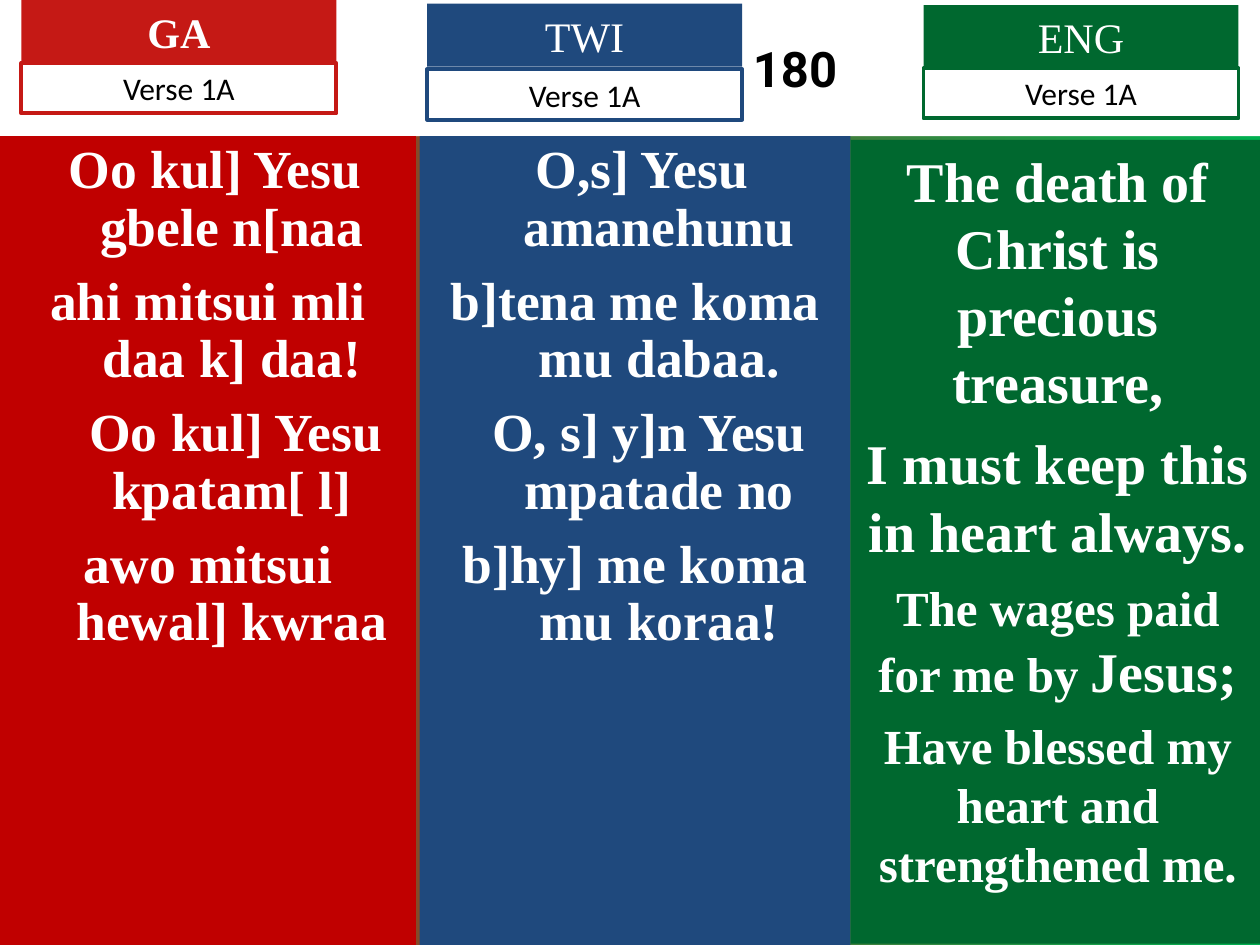
from pptx import Presentation
from pptx.dml.color import RGBColor
from pptx.enum.shapes import MSO_SHAPE
from pptx.enum.text import MSO_ANCHOR, MSO_AUTO_SIZE, PP_ALIGN
from pptx.oxml.xmlchemy import OxmlElement
from pptx.util import Inches, Pt

RECT = MSO_SHAPE.RECTANGLE
CENTER = PP_ALIGN.CENTER
TOP, MIDDLE = MSO_ANCHOR.TOP, MSO_ANCHOR.MIDDLE
NO_FIT = MSO_AUTO_SIZE.NONE

COLORS = {"red": "C00000", "label_red": "C51915", "blue": "1F497D",
          "green": "00682F", "edge_green": "00B050",
          "white": "FFFFFF", "black": "000000"}
SERIF, SANS, NUMBER = "Times New Roman", "Calibri", "Roboto"
HANG = 0.38      # hanging indent of the sung lines
NUDGE = 0.11     # one step of extra first-line indent
LABEL_W, LABEL_H, VERSE_H = 2.5, 0.5, 0.4


def rgb(name):
    return RGBColor.from_string(COLORS[name])


def place(s, box):
    s.left, s.top, s.width, s.height = (Inches(v) for v in box)


def fill(s, color):
    s.fill.solid()
    s.fill.fore_color.rgb = rgb(color)


def frame(s, anchor):
    tf = s.text_frame
    tf.word_wrap = True
    tf.auto_size = NO_FIT
    tf.vertical_anchor = anchor
    return tf


def add_run(p, text, size, font, color, bold=False):
    r = p.add_run()
    r.text = text
    r.font.size, r.font.name, r.font.bold = Pt(size), font, bold
    r.font.color.rgb = rgb(color)


def add_rect(slide, box):
    s = slide.shapes.add_shape(RECT, *(Inches(v) for v in box))
    s.shadow.inherit = False
    s.line.fill.background()
    return s


def hymn_number(s, box, text):
    """White title strip; the left inset moves the number off centre."""
    place(s, box)
    fill(s, "white")
    tf = frame(s, MIDDLE)
    tf.margin_left = Inches(box[2] * 0.272)
    p = tf.paragraphs[0]
    p.alignment = CENTER
    add_run(p, text, 28, NUMBER, "black", True)


def lyrics(s, box, color, lines):
    """Sung lines with a hanging indent, each as (text, nudge steps)."""
    place(s, box)
    fill(s, color)
    tf = frame(s, TOP)
    for i, (text, steps) in enumerate(lines):
        p = tf.paragraphs[0] if i == 0 else tf.add_paragraph()
        p.alignment, p.line_spacing = CENTER, 0.9
        p.space_before = Pt(9 if i else 0)
        pPr = p._p.get_or_add_pPr()
        pPr.set("marL", str(Inches(HANG)))
        pPr.set("indent", str(Inches(steps * NUDGE - HANG)))
        pPr.append(OxmlElement("a:buNone"))
        add_run(p, text, 30.6, SERIF, "white", True)


def translation(slide, box, color, lines):
    """English lines, each as (space before, runs of (text, size))."""
    s = add_rect(slide, box)
    fill(s, color)
    tf = frame(s, TOP)
    for i, (before, runs) in enumerate(lines):
        p = tf.paragraphs[0] if i == 0 else tf.add_paragraph()
        p.alignment, p.space_before = CENTER, Pt(before)
        for text, size in runs:
            add_run(p, text, size, SERIF, "white", True)


def language_label(slide, left, top, verse_top, color, name, bold):
    """Filled language name above an outlined verse number."""
    head = add_rect(slide, (left, top, LABEL_W, LABEL_H))
    fill(head, color)
    verse = add_rect(slide, (left, verse_top, LABEL_W, VERSE_H))
    verse.fill.background()
    verse.line.color.rgb = rgb(color)
    verse.line.width = Pt(2.25)
    for s, text, size, font, ink, weight in (
            (head, name, 24, SERIF, "white", bold),
            (verse, "Verse 1A", 18, SANS, "black", False)):
        p = frame(s, MIDDLE).paragraphs[0]
        p.alignment = CENTER
        add_run(p, text, size, font, ink, weight)


def main():
    prs = Presentation()
    prs.slide_width, prs.slide_height = Inches(10), Inches(7.5)
    slide = prs.slides.add_slide(prs.slide_layouts[3])  # title and two lists
    W, H = 10, 7.5
    head_h = 1.08
    body_h = H - head_h

    # Background, seen in the gaps between columns
    bg = slide.background.fill
    bg.gradient()
    bg.gradient_angle = 0
    for stop, color in zip(bg.gradient_stops, ("label_red", "edge_green")):
        stop.color.rgb = rgb(color)

    # Header strip and the three columns
    title, ga, twi = slide.placeholders
    hymn_number(title, (0, 0, W, head_h), "180")
    lyrics(ga, (0, head_h, 0.33 * W, body_h), "red", [
        ("Oo kul] Yesu gbele n[naa", 1),
        ("ahi mitsui mli daa k] daa!", 0),
        ("Oo kul] Yesu kpatam[ l]", 4),
        ("awo mitsui hewal] kwraa", 0)])
    lyrics(twi, (0.333 * W, head_h, 0.342 * W, body_h), "blue", [
        ("O,s] Yesu amanehunu", 1),
        ("b]tena me koma mu dabaa.", 0),
        ("O, s] y]n Yesu mpatade no", 2),
        ("b]hy] me koma mu koraa!", 0)])
    translation(slide, (0.675 * W, 1.11, 0.329 * W, 6.38), "green", [
        (0, [("The death of Christ is precious treasure,", 32)]),
        (8, [("I must keep this in heart always.", 32)]),
        (8, [("The wages paid for me by ", 28), ("Jesus;", 32)]),
        (7, [("Have blessed my heart and strengthened me.", 28)])])

    # Language labels
    for label in ((0.17, 0, 0.5, "label_red", "GA", True),
                  (3.39, 0.03, 0.55, "blue", "TWI", False),
                  (7.33, 0.04, 0.54, "green", "ENG", False)):
        language_label(slide, *label)

    prs.save("out.pptx")


if __name__ == "__main__":
    main()
